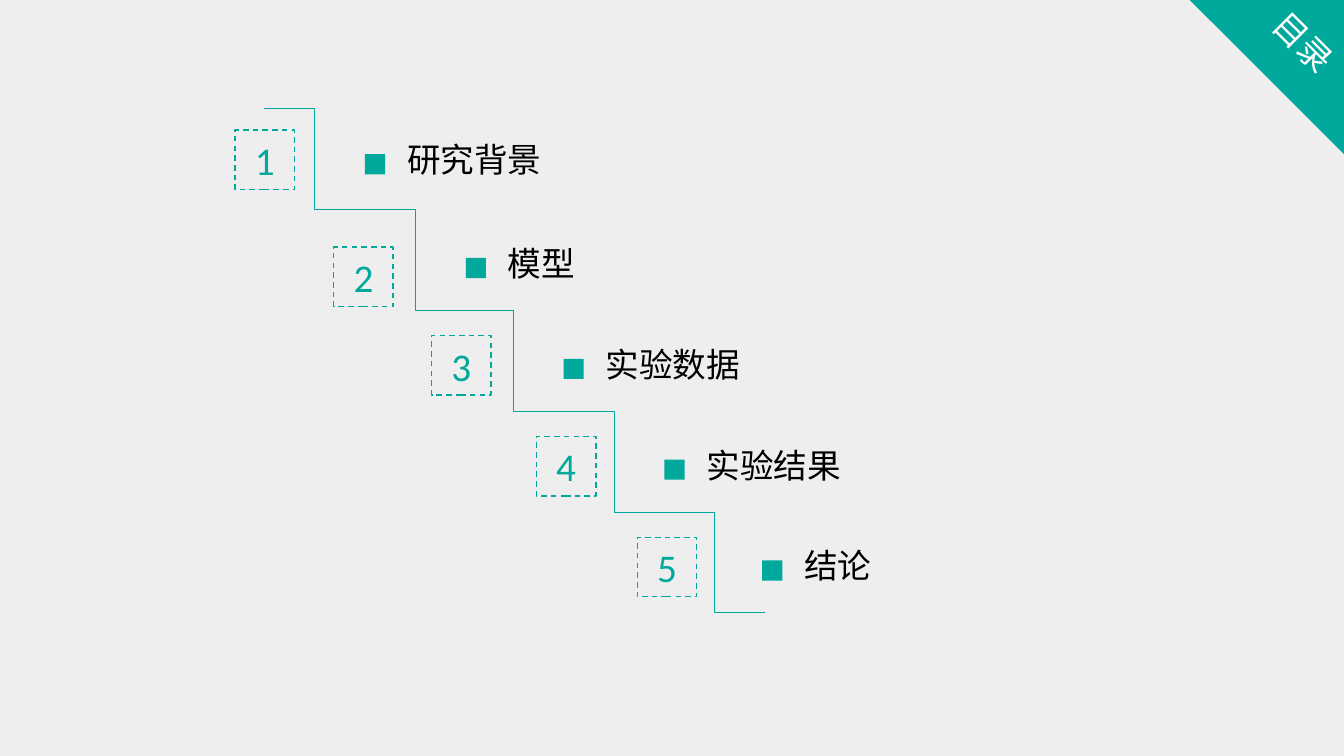
from lxml import etree
from pptx import Presentation
from pptx.dml.color import RGBColor
from pptx.enum.dml import MSO_LINE
from pptx.enum.shapes import MSO_CONNECTOR, MSO_SHAPE
from pptx.enum.text import MSO_ANCHOR, MSO_AUTO_SIZE, PP_ALIGN
from pptx.oxml.ns import qn
from pptx.util import Inches, Pt

RECTANGLE, TRIANGLE = MSO_SHAPE.RECTANGLE, MSO_SHAPE.RIGHT_TRIANGLE
CENTER, MIDDLE = PP_ALIGN.CENTER, MSO_ANCHOR.MIDDLE
TEAL, GREY, WHITE, BLACK = "01A89C", "EEEEEE", "FFFFFF", "000000"
LATIN_FONT, CHINESE_FONT = "Calibri", "Noto Sans CJK SC"

TITLE = "目录"
# label, label width, stair start x, number box (x, y), bullet (x, y)
CHAPTERS = [
    ("研究背景", 1.53, 2.62, (2.33, 1.29), (3.62, 1.53)),
    ("模型", 0.87, 3.62, (3.31, 2.45), (4.62, 2.56)),
    ("实验数据", 1.53, 4.59, (4.28, 3.33), (5.59, 3.56)),
    ("实验结果", 1.53, 5.59, (5.32, 4.33), (6.59, 4.56)),
    ("结论", 0.87, 6.59, (6.32, 5.33), (7.56, 5.56)),
]
STAIR_TOP, STEP = 1.08, 1
NUMBER_SIDE, BULLET_SIDE = 0.59, 0.2
LABEL_RIGHT, LABEL_UP, LABEL_HEIGHT = 0.32, 0.2, 0.5


def color(value):
    return RGBColor.from_string(value)


def add_shape(kind, left, top, width, height, fill=None):
    """Add a shape without outline or shadow, filled only if a colour is given."""
    shape = page.shapes.add_shape(
        kind, Inches(left), Inches(top), Inches(width), Inches(height))
    shape.shadow.inherit = False
    shape.line.fill.background()
    if fill:
        shape.fill.solid()
        shape.fill.fore_color.rgb = color(fill)
    else:
        shape.fill.background()
    return shape


def add_text_box(left, top, width, height):
    return page.shapes.add_textbox(
        Inches(left), Inches(top), Inches(width), Inches(height))


def write(shape, text, size, text_color, font=LATIN_FONT):
    """Fill the first paragraph and return it."""
    para = shape.text_frame.paragraphs[0]
    para.text = text
    para.font.size = Pt(size)
    para.font.name = font
    para.font.color.rgb = color(text_color)
    east_asian = etree.SubElement(para.font._element, qn("a:ea"))
    east_asian.set("typeface", CHINESE_FONT)
    return para


def add_stair(left, top):
    stair = page.shapes.add_connector(
        MSO_CONNECTOR.ELBOW, Inches(left), Inches(top),
        Inches(left + STEP), Inches(top + STEP))
    stair.line.color.rgb = color(TEAL)
    stair.line.width = Pt(0.5)
    etree.SubElement(stair._element.spPr, qn("a:effectLst"))


def add_number(number, left, top):
    box = add_shape(RECTANGLE, left, top, NUMBER_SIDE, NUMBER_SIDE)
    box.line.color.rgb = color(TEAL)
    box.line.width = Pt(1)
    box.line.dash_style = MSO_LINE.DASH
    box.text_frame.vertical_anchor = MIDDLE
    write(box, str(number), 28, TEAL).alignment = CENTER


def add_label(text, width, left, top):
    label = add_text_box(left + LABEL_RIGHT, top - LABEL_UP, width, LABEL_HEIGHT)
    label.text_frame.word_wrap = False
    label.text_frame.auto_size = MSO_AUTO_SIZE.SHAPE_TO_FIT_TEXT
    write(label, text, 24, BLACK, CHINESE_FONT)
    add_shape(RECTANGLE, left, top, BULLET_SIDE, BULLET_SIDE, TEAL)


deck = Presentation()
deck.slide_width, deck.slide_height = Inches(13.33), Inches(7.5)
page = deck.slides.add_slide(deck.slide_layouts[6])
page.background.fill.solid()
page.background.fill.fore_color.rgb = color(GREY)

corner = add_shape(TRIANGLE, 11.8, 0, 1.53, 1.53, TEAL)
corner.rotation = 180
title = add_text_box(12.34, -0.17, 1.15, 1.21)
title.rotation = 45
title.text_frame.word_wrap = True
title.text_frame.vertical_anchor = MIDDLE
title_para = write(title, TITLE, 24, WHITE)
title_para.alignment = CENTER
title_para.line_spacing = 0.9
title_para.space_before = Pt(10)

for index, (text, width, stair_left, number_at, bullet_at) in enumerate(CHAPTERS):
    add_stair(stair_left, STAIR_TOP + index * STEP)
    add_number(index + 1, *number_at)
    add_label(text, width, *bullet_at)

deck.save("out.pptx")
